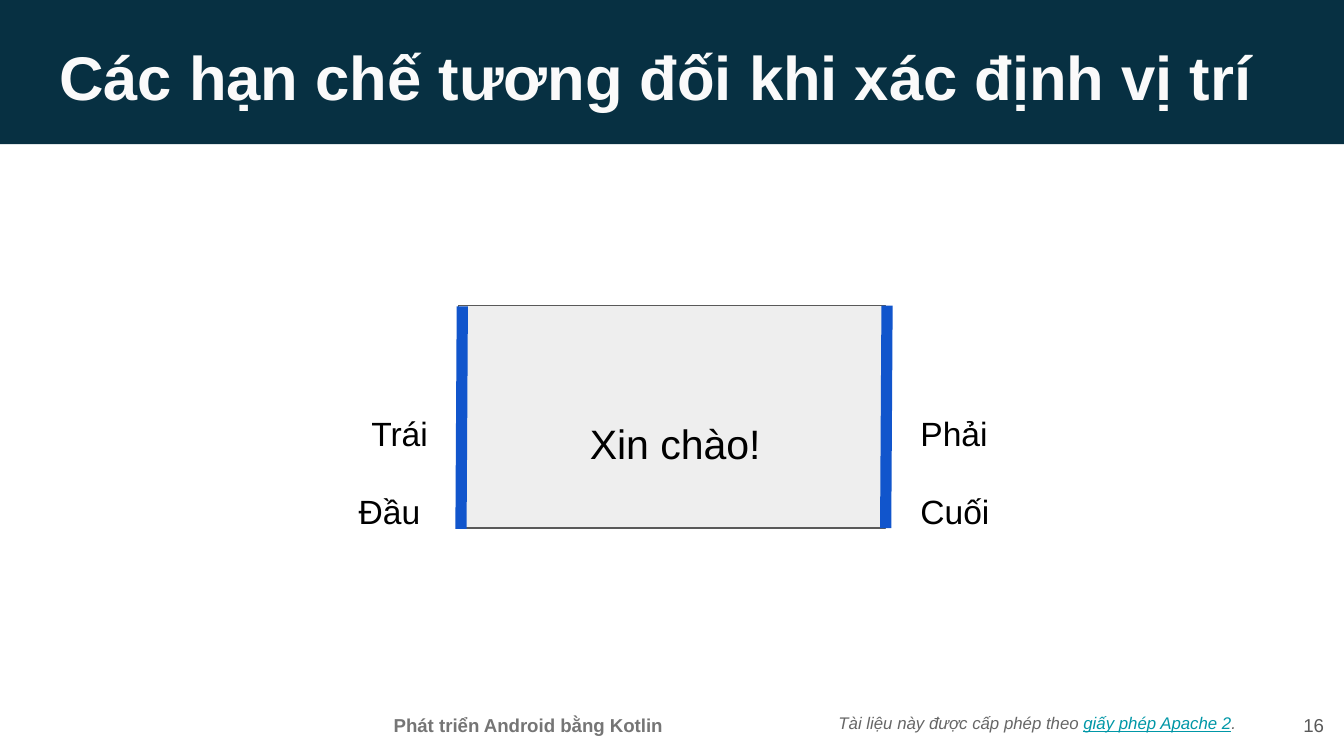
import pptx
import pptx.util
import pptx.dml.color
import pptx.enum.shapes
import pptx.enum.text
import pptx.oxml.ns
import lxml.etree

COLUMNS, ROWS = 100, 56.25
CELL = 0.1
FONT = "Arial"
ALIGN = pptx.enum.text.PP_ALIGN
ANCHOR = pptx.enum.text.MSO_ANCHOR
SHAPE = pptx.enum.shapes.MSO_SHAPE
LEFT_EDGE, RIGHT_EDGE = 34.4, 66
CARD_TOP, CARD_BOTTOM = 22.74, 39.3


def cells(*counts):
    return [pptx.util.Inches(count * CELL) for count in counts]


def color(value):
    return pptx.dml.color.RGBColor.from_string(value)


def style(font, size, tint, bold=False, italic=False):
    font.name = FONT
    font.size = pptx.util.Pt(size)
    font.color.rgb = color(tint)
    font.bold = bold
    font.italic = italic


def set_frame(frame, anchor):
    frame.word_wrap = True
    frame.auto_size = pptx.enum.text.MSO_AUTO_SIZE.NONE
    frame.vertical_anchor = anchor
    frame.margin_left = frame.margin_right = pptx.util.Inches(0.1)
    frame.margin_top = frame.margin_bottom = pptx.util.Inches(0.1)


def add_title(page, text, area):
    title = page.shapes.title
    title.left, title.top, title.width, title.height = cells(*area)
    set_frame(title.text_frame, ANCHOR.TOP)
    para = title.text_frame.paragraphs[0]
    para.text = text
    para.alignment = ALIGN.LEFT
    para.line_spacing = 1
    style(para.font, 33, "FAFAFA", bold=True)
    return title


def add_text(page, text, area, size=18, tint="000000", align=ALIGN.LEFT,
             anchor=ANCHOR.MIDDLE, bold=False, italic=False):
    box = page.shapes.add_textbox(*cells(*area))
    set_frame(box.text_frame, anchor)
    para = box.text_frame.paragraphs[0]
    para.text = text
    para.alignment = align
    style(para.font, size, tint, bold, italic)
    return para


def add_rectangle(page, area, fill, line=None):
    box = page.shapes.add_shape(SHAPE.RECTANGLE, *cells(*area))
    box.shadow.inherit = False
    box.fill.solid()
    box.fill.fore_color.rgb = color(fill)
    if line:
        box.line.color.rgb = color(line)
        box.line.width = pptx.util.Pt(0.75)
    else:
        box.line.fill.background()
    return box


def add_edge(page, column, bottom, top):
    edge = page.shapes.add_connector(
        pptx.enum.shapes.MSO_CONNECTOR.STRAIGHT,
        *cells(column - 0.1, bottom, column, top))
    edge.line.color.rgb = color("1155CC")
    edge.line.width = pptx.util.Pt(6)
    lxml.etree.SubElement(edge.element.spPr, pptx.oxml.ns.qn("a:effectLst"))


def add_license(page):
    para = add_text(page, "Tài liệu này được cấp phép theo ",
                    (61.4, 51.45, 32.1, 4.7), 9, "666666", italic=True)
    span = para.add_run()
    span.text = "giấy phép Apache 2"
    span.font.color.rgb = color("0097A7")
    span.font.underline = True
    para.add_run().text = "."


def main():
    deck = pptx.Presentation()
    deck.slide_width, deck.slide_height = cells(COLUMNS, ROWS)
    page = deck.slides.add_slide(deck.slide_layouts[5])

    title = add_title(page, "Các hạn chế tương đối khi xác định vị trí",
                      (3.4, 1.9, 93.2, 6.3))
    band = add_rectangle(page, (-0.1, -0.4, COLUMNS + 0.1, 11.14), "073042")
    title.element.addprevious(band.element)

    add_license(page)
    add_text(page, "Phát triển Android bằng Kotlin", (25.14, 52.1, 28.3, 3.2),
             10, "757575", ALIGN.CENTER, ANCHOR.TOP, bold=True)
    add_text(page, "16", (93.5, 51.8, 6, 4.3), 10, "595959", ALIGN.RIGHT)

    add_rectangle(page, (34.1, CARD_TOP, 31.8, CARD_BOTTOM - CARD_TOP),
                  "EEEEEE", "595959")
    add_text(page, "Xin chào!", (34.34, 28, 31.8, 7.8), 22,
             align=ALIGN.CENTER, anchor=ANCHOR.BOTTOM)
    for text, area in (("Trái", (26.64, 30.74, 6.8, 3)),
                       ("Đầu", (25.7, 36.54, 9.2, 3)),
                       ("Phải", (67.5, 29.7, 14.3, 5.1)),
                       ("Cuối", (67.5, 35.5, 14.3, 5.1))):
        add_text(page, text, area)
    add_edge(page, LEFT_EDGE, CARD_BOTTOM + 0.06, CARD_TOP + 0.06)
    add_edge(page, RIGHT_EDGE, CARD_BOTTOM, CARD_TOP)

    deck.save("out.pptx")


if __name__ == "__main__":
    main()
